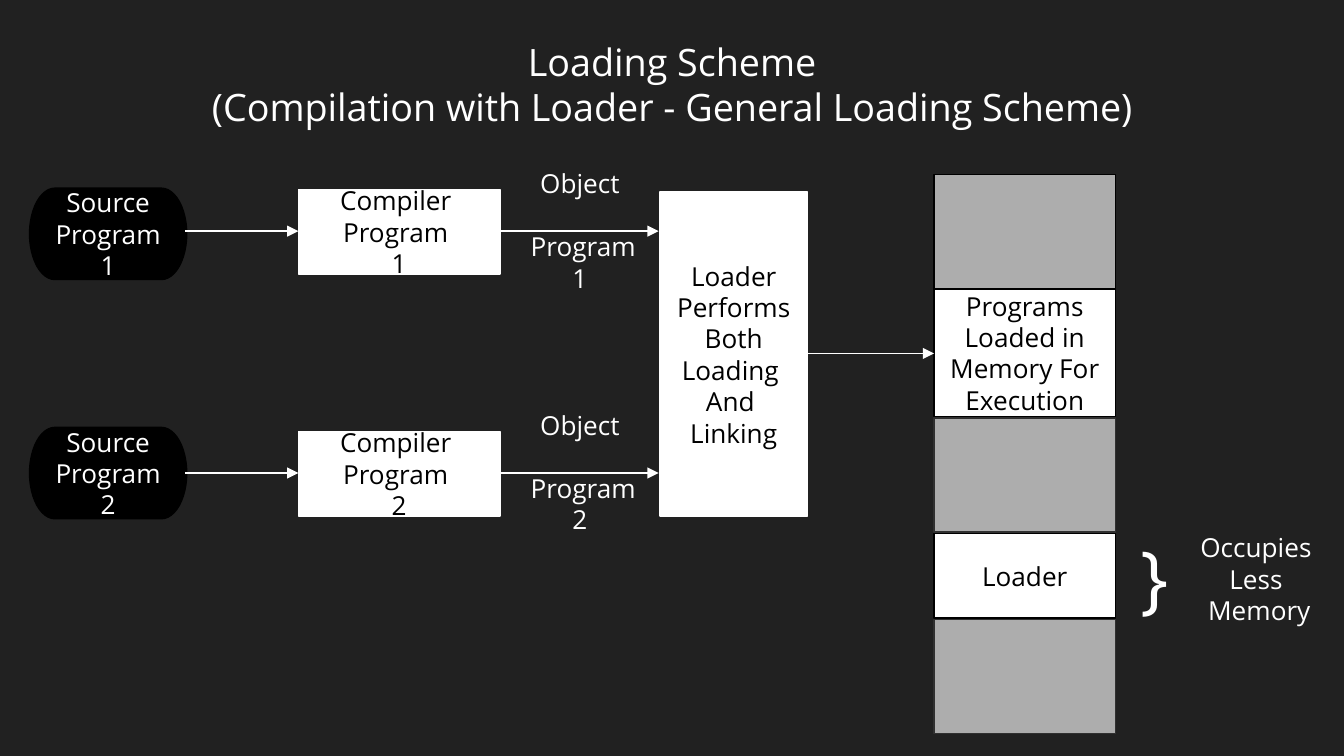
"""Builds the slide on the general loading scheme (compilation with loader)."""
from dataclasses import dataclass

from lxml.etree import SubElement
from pptx import Presentation
from pptx.dml.color import RGBColor
from pptx.enum.shapes import MSO_CONNECTOR as CONN, MSO_SHAPE as SHAPE
from pptx.enum.text import MSO_ANCHOR as ANCHOR, MSO_AUTO_SIZE as FIT, PP_ALIGN as ALIGN
from pptx.oxml.ns import qn
from pptx.util import Inches, Pt


@dataclass(frozen=True)
class Theme:
    font: str = "Open Sans"
    back: RGBColor = RGBColor.from_string("212121")
    white: RGBColor = RGBColor.from_string("FFFFFF")
    black: RGBColor = RGBColor.from_string("000000")
    grey: RGBColor = RGBColor.from_string("ADADAD")
    edge: RGBColor = RGBColor.from_string("303030")
    title: float = 20.2
    text: float = 14
    brace: float = 40
    gap: float = 16.8
    line: float = 0.75


theme = Theme()


def write(sp, lines, color, size=theme.text, gap=0):
    tf = sp.text_frame
    tf.word_wrap, tf.auto_size, tf.vertical_anchor = True, FIT.NONE, ANCHOR.MIDDLE
    tf.margin_left = tf.margin_right = tf.margin_top = tf.margin_bottom = Inches(0.1)
    for i, line in enumerate(lines):
        p = tf.add_paragraph() if i else tf.paragraphs[0]
        p.alignment = ALIGN.CENTER
        p.space_before = Pt(gap if i else 0)
        r = p.add_run()
        r.text = line
        r.font.name, r.font.size = theme.font, Pt(size)
        r.font.color.rgb = color


def add_box(kind, box, fill, edge, lines=(), color=theme.black):
    sp = s.shapes.add_shape(kind, *map(Inches, box))
    sp.shadow.inherit = False
    sp.fill.solid()
    sp.fill.fore_color.rgb = fill
    sp.line.color.rgb = edge
    sp.line.width = Pt(theme.line)
    write(sp, lines, color)


prs = Presentation()
prs.slide_width, prs.slide_height = Inches(10), Inches(10 * 9 / 16)
s = prs.slides.add_slide(prs.slide_layouts[5])
s.background.fill.solid()
s.background.fill.fore_color.rgb = theme.back

title = s.shapes.title
title.left, title.top, title.width, title.height = map(Inches, (0.34, 0.2, 9.32, 0.85))
write(title, ["Loading Scheme", "(Compilation with Loader - General Loading Scheme)"],
      theme.white, theme.title)

labels = []
arrows = [(6.01, 2.63, 6.95, 2.63)]
for number, source_top, compiler_top, mid in (("1", 1.4, 1.41, 1.72), ("2", 3.18, 3.21, 3.52)):
    add_box(SHAPE.FLOWCHART_TERMINATOR, (0.22, source_top, 1.17, 0.68), theme.black, theme.black,
            [f"Source Program {number}"], theme.white)
    add_box(SHAPE.RECTANGLE, (2.22, compiler_top, 1.5, 0.63), theme.white, theme.white,
            ["Compiler ", "Program ", number])
    labels.append(((3.73, mid - 0.08, 1.17, 0.15), ["Object", f" Program {number}"],
                   theme.text, theme.gap))
    arrows += [(1.38, mid, 2.22, mid), (3.72, mid, 4.9, mid)]

add_box(SHAPE.RECTANGLE, (4.91, 1.43, 1.1, 2.41), theme.white, theme.white,
        ["Loader Performs Both Loading ", "And ", "Linking"])

for top, height, fill, edge, lines in (
    (1.3, 0.85, theme.grey, theme.black, []),
    (3.11, 0.85, theme.grey, theme.edge, []),
    (4.61, 0.85, theme.grey, theme.edge, []),
    (2.15, 0.95, theme.white, theme.black, ["Programs Loaded in Memory For Execution"]),
    (3.97, 0.63, theme.white, theme.black, ["Loader"]),
):
    add_box(SHAPE.RECTANGLE, (6.95, top, 1.35, height), fill, edge, lines)

labels += [
    ((8.36, 3.97, 0.46, 0.63), ["}"], theme.brace, 0),
    ((8.82, 3.97, 1.05, 0.67), ["Occupies Less", " Memory"], theme.text, 0),
]
for box, lines, size, gap in labels:
    write(s.shapes.add_textbox(*map(Inches, box)), lines, theme.white, size, gap)

for ends in arrows:
    arrow = s.shapes.add_connector(CONN.STRAIGHT, *map(Inches, ends))
    arrow.line.color.rgb = theme.white
    arrow.line.width = Pt(theme.line)
    SubElement(arrow.line._get_or_add_ln(), qn("a:tailEnd"), type="triangle")
    SubElement(arrow._element.spPr, qn("a:effectLst"))

prs.save("out.pptx")
